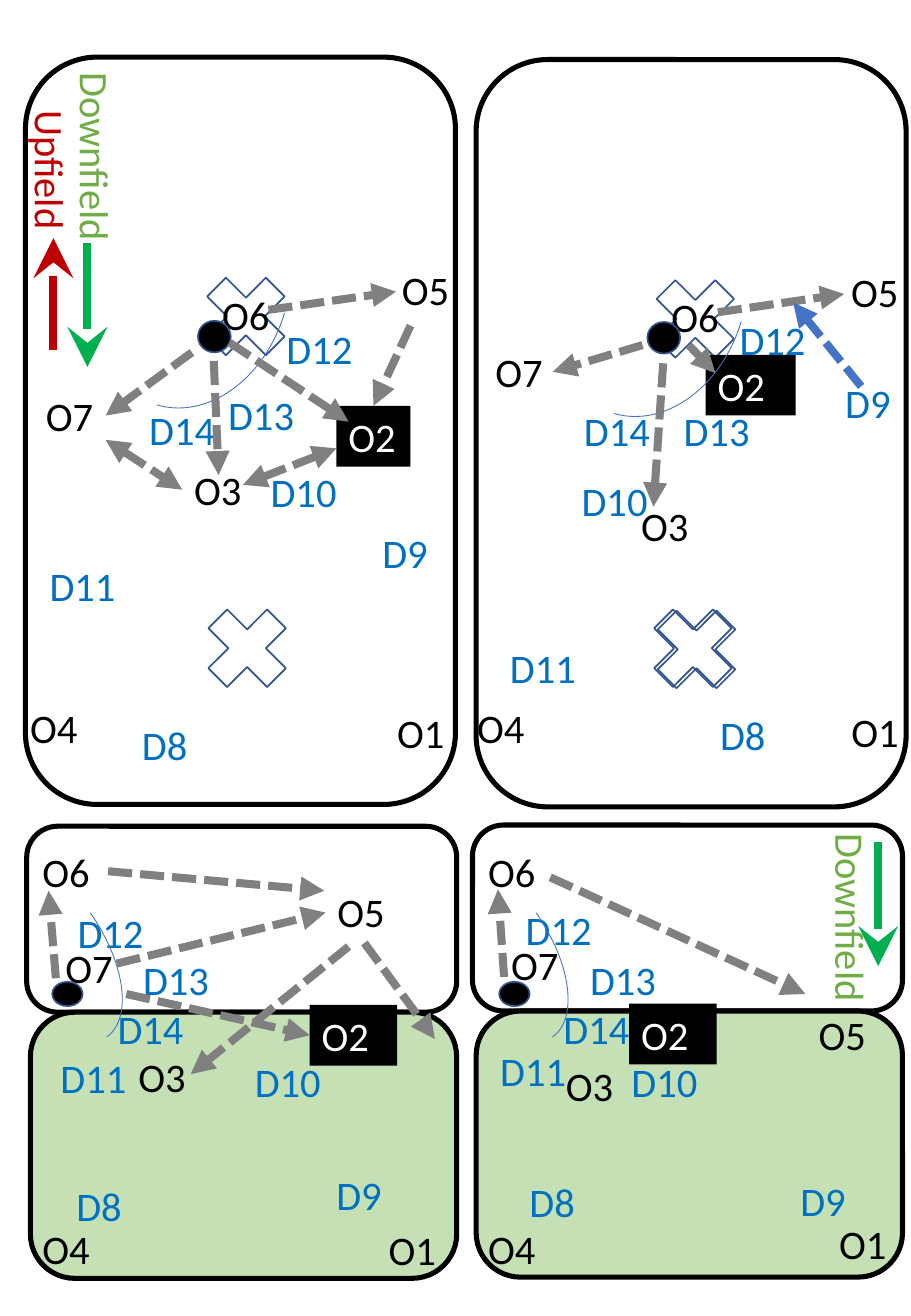
from dataclasses import dataclass

from lxml.etree import SubElement
from pptx import Presentation
from pptx.dml.color import RGBColor as RGB
from pptx.enum.dml import MSO_LINE as Dash
from pptx.enum.shapes import MSO_CONNECTOR as Connector, MSO_SHAPE as Shape
from pptx.enum.text import MSO_AUTO_SIZE as AutoSize
from pptx.oxml.ns import qn
from pptx.util import Inches, Pt


@dataclass(frozen=True)
class Theme:
    font: str = "Calibri"
    size: int = 24
    black: str = "000000"
    white: str = "FFFFFF"
    defense: str = "0070C0"
    edge: str = "325491"
    blue: str = "4472C4"
    gray: str = "808080"
    grass: str = "C5E0B4"
    red: str = "C00000"
    green: str = "00B050"
    light_green: str = "70AD47"
    border_pt: float = 3
    arrow_pt: float = 4.75


T = Theme()
LABEL_H = 0.5

# Player positions, crosses, ball, arc and arrows are relative to the field's corner.
# An arrow is (from, to) and may add a dict of options.
BOTH = {"both": True}
FIELD_LEFT = dict(
    widths={"O1": 0.61, "O2": 0.61, "O6": 0.84},
    players={
        "O2": (2.56, 2.87), "O1": (2.96, 5.31), "O3": (1.29, 3.31), "O4": (-0.06, 5.27),
        "O5": (3, 1.66), "O6": (1.52, 1.87), "O7": (0.07, 2.7), "D8": (0.86, 5.41),
        "D9": (2.84, 3.83), "D10": (1.92, 3.32), "D11": (0.1, 4.1), "D12": (2.05, 2.15),
        "D13": (1.57, 2.69), "D14": (0.92, 2.81)},
    crosses=[(1.36, 4.4), (1.35, 1.67)], ball=(1.42, 2.17), arc=(0.35, 1.09),
    arrows=[
        ((2, 2.08), (3.05, 1.93)), ((3.17, 2.21), (2.87, 2.87), {"o2_side": 0}),
        ((1.68, 2.35), (2.66, 3)), ((2.56, 3.22), (1.79, 3.52), BOTH),
        ((1.55, 2.5), (1.59, 3.44)), ((1.37, 2.43), (0.66, 2.95)),
        ((0.66, 3.15), (1.29, 3.56), BOTH)])
FIELD_RIGHT = dict(
    widths={"O1": 0.61, "O6": 0.84},
    players={
        "O2": (1.89, 2.43), "O1": (2.99, 5.28), "O3": (1.26, 3.58), "O4": (-0.09, 5.25),
        "O5": (2.99, 1.66), "O6": (1.51, 1.86), "O7": (0.06, 2.32), "D8": (1.91, 5.3),
        "D9": (2.94, 2.57), "D10": (0.77, 3.38), "D11": (0.18, 4.75), "D12": (2.07, 2.05),
        "D13": (1.61, 2.8), "D14": (0.79, 2.8)},
    crosses=[(1.32, 4.38), (1.35, 4.39), (1.34, 1.67)], ball=(1.41, 2.16), arc=(0.4, 1.14),
    arrows=[
        ((1.99, 2.08), (3.03, 1.93)), ((1.37, 2.35), (0.63, 2.57)),
        ((1.54, 2.5), (1.46, 3.68)), ((1.75, 2.35), (1.97, 2.58)),
        ((3.17, 2.69), (2.61, 2), {"color": T.blue})])
ZONE_LEFT = dict(
    players={
        "O2": (2.33, 1.47), "O1": (2.88, 3.23), "O3": (0.82, 1.81), "O4": (0.03, 3.22),
        "O5": (2.46, 0.45), "O6": (0.03, 0.12), "O7": (0.22, 0.91), "D8": (0.31, 2.87),
        "D9": (2.45, 2.78), "D10": (1.78, 1.85), "D11": (0.18, 1.82), "D12": (0.32, 0.62),
        "D13": (0.86, 1.01), "D14": (0.65, 1.41)},
    ball=(0.21, 1.28), arc=(-0.78, 0.51),
    arrows=[
        ((0.24, 1.25), (0.18, 0.53)), ((0.74, 1.13), (2.46, 0.71)),
        ((0.67, 0.37), (2.45, 0.53)), ((0.82, 1.38), (2.33, 1.72), {"o2_side": 1}),
        ((2.78, 0.96), (3.36, 1.75)), ((2.65, 0.99), (1.35, 2.04))])
ZONE_RIGHT = dict(
    players={
        "O2": (1.29, 1.47), "O1": (2.92, 3.19), "O3": (0.67, 1.89), "O4": (0.03, 3.23),
        "O5": (2.75, 1.47), "O6": (0.03, 0.13), "O7": (0.22, 0.9), "D8": (0.37, 2.85),
        "D9": (2.6, 2.84), "D10": (1.21, 1.86), "D11": (0.13, 1.77), "D12": (0.34, 0.61),
        "D13": (0.87, 1.02), "D14": (0.65, 1.42)},
    ball=(0.22, 1.29), arc=(-0.78, 0.52),
    arrows=[((0.26, 1.25), (0.21, 0.53)), ((0.64, 0.43), (2.74, 1.39))])


def add_outline(s, kind, x, y, w, h, line, pt, fill=None, rotation=0):
    sp = s.shapes.add_shape(kind, Inches(x), Inches(y), Inches(w), Inches(h))
    sp.shadow.inherit = False
    sp.rotation = rotation
    if fill:
        sp.fill.solid()
        sp.fill.fore_color.rgb = RGB.from_string(fill)
    else:
        sp.fill.background()
    sp.line.color.rgb = RGB.from_string(line)
    sp.line.width = Pt(pt)
    return sp


def add_label(s, text, x, y, w, color, fill=None, rotation=0):
    sp = s.shapes.add_textbox(Inches(x), Inches(y), Inches(w), Inches(LABEL_H))
    sp.rotation = rotation
    if fill:
        sp.fill.solid()
        sp.fill.fore_color.rgb = RGB.from_string(fill)
    tf = sp.text_frame
    tf.word_wrap = True
    tf.auto_size = AutoSize.SHAPE_TO_FIT_TEXT
    p = tf.paragraphs[0]
    p.text = text
    p.font.name, p.font.size = T.font, Pt(T.size)
    p.font.color.rgb = RGB.from_string(color)
    return sp


def add_arrow(s, start, end, color=T.gray, both=False, stealth=False):
    """Draw a dashed pass, or a solid direction arrow when stealth is set."""
    c = s.shapes.add_connector(Connector.STRAIGHT, *(Inches(v) for v in (*start, *end)))
    c.line.color.rgb = RGB.from_string(color)
    c.line.width = Pt(T.arrow_pt)
    if not stealth:
        c.line.dash_style = Dash.SQUARE_DOT
    kind, size = ("stealth", "lg") if stealth else ("triangle", "med")
    for tag in ("a:headEnd", "a:tailEnd") if both else ("a:tailEnd",):
        SubElement(c.line._get_or_add_ln(), qn(tag), type=kind, w=size, len=size)
    SubElement(c._element.spPr, qn("a:effectLst"))
    return c


def add_play(s, x, y, play, widths, ball_size, arc_size, arc_turn):
    """Place the players, ball, marking arc and passes of one play."""
    for name, (dx, dy) in play["players"].items():
        w = widths.get(name, widths["wide" if len(name) > 2 else "narrow"])
        if name == "O2":
            o2 = add_label(s, name, x + dx, y + dy, w, T.white, fill=T.black)
        else:
            add_label(s, name, x + dx, y + dy, w, T.defense if name[0] == "D" else T.black)
    bx, by = play["ball"]
    add_outline(s, Shape.OVAL, x + bx, y + by, *ball_size, T.edge, 1, T.black)
    ax, ay = play["arc"]
    add_outline(s, Shape.ARC, x + ax, y + ay, *arc_size, T.blue, 0.5, rotation=arc_turn)
    for (x1, y1), (x2, y2), *options in play["arrows"]:
        options = dict(options[0]) if options else {}
        side = options.pop("o2_side", None)
        c = add_arrow(s, (x + x1, y + y1), (x + x2, y + y2), **options)
        if side is not None:
            c.end_connect(o2, side)


def add_full_field(s, x, y, play):
    add_outline(s, Shape.ROUNDED_RECTANGLE, x, y, 3.54, 6.15, T.black, T.border_pt, T.white)
    for dx, dy in play["crosses"]:
        add_outline(s, Shape.MATH_MULTIPLY, x + dx, y + dy, 0.93, 0.93, T.edge, 1)
    widths = {"narrow": 0.74, "wide": 0.97, **play["widths"]}
    add_play(s, x, y, play, widths, (0.27, 0.26), (2.05, 1.58), 106.6)


def add_end_zone(s, x, y, play):
    h = 1.53
    add_outline(s, Shape.ROUNDED_RECTANGLE, x, y, 3.54, h, T.black, T.border_pt)
    add_outline(s, Shape.ROUNDED_RECTANGLE, x + 0.03, y + h, 3.51, 2.19,
                T.black, T.border_pt, T.grass)
    widths = {"narrow": 0.65, "wide": 0.86, "O2": 0.72, "O3": 0.72}
    add_play(s, x, y, play, widths, (0.25, 0.2), (1.83, 0.95), 55.1)


def add_direction(s, text, x, y, w, text_color, arrow_x, start_y, tip_y, arrow_color):
    """Add a sideways label with the arrow that shows its direction."""
    add_label(s, text, x, y, w, text_color, rotation=90)
    add_arrow(s, (arrow_x, start_y), (arrow_x, tip_y), arrow_color, stealth=True)


def main():
    prs = Presentation()
    prs.slide_width, prs.slide_height = Inches(7.5), Inches(10.83)
    s = prs.slides.add_slide(prs.slide_layouts[6])
    add_full_field(s, 0.21, 0.47, FIELD_LEFT)
    add_full_field(s, 3.92, 0.49, FIELD_RIGHT)
    add_end_zone(s, 0.22, 6.8, ZONE_LEFT)
    add_end_zone(s, 3.89, 6.79, ZONE_RIGHT)
    add_direction(s, "Upfield", -0.25, 1.23, 1.34, T.red, 0.44, 2.88, 1.96, T.red)
    add_direction(s, "Downfield", -0.07, 1.11, 1.72, T.light_green, 0.72, 2, 3.02, T.green)
    add_direction(s, "Downfield", 6.15, 7.37, 1.72, T.light_green, 7.23, 6.93, 7.95, T.green)
    prs.save("out.pptx")


if __name__ == "__main__":
    main()
